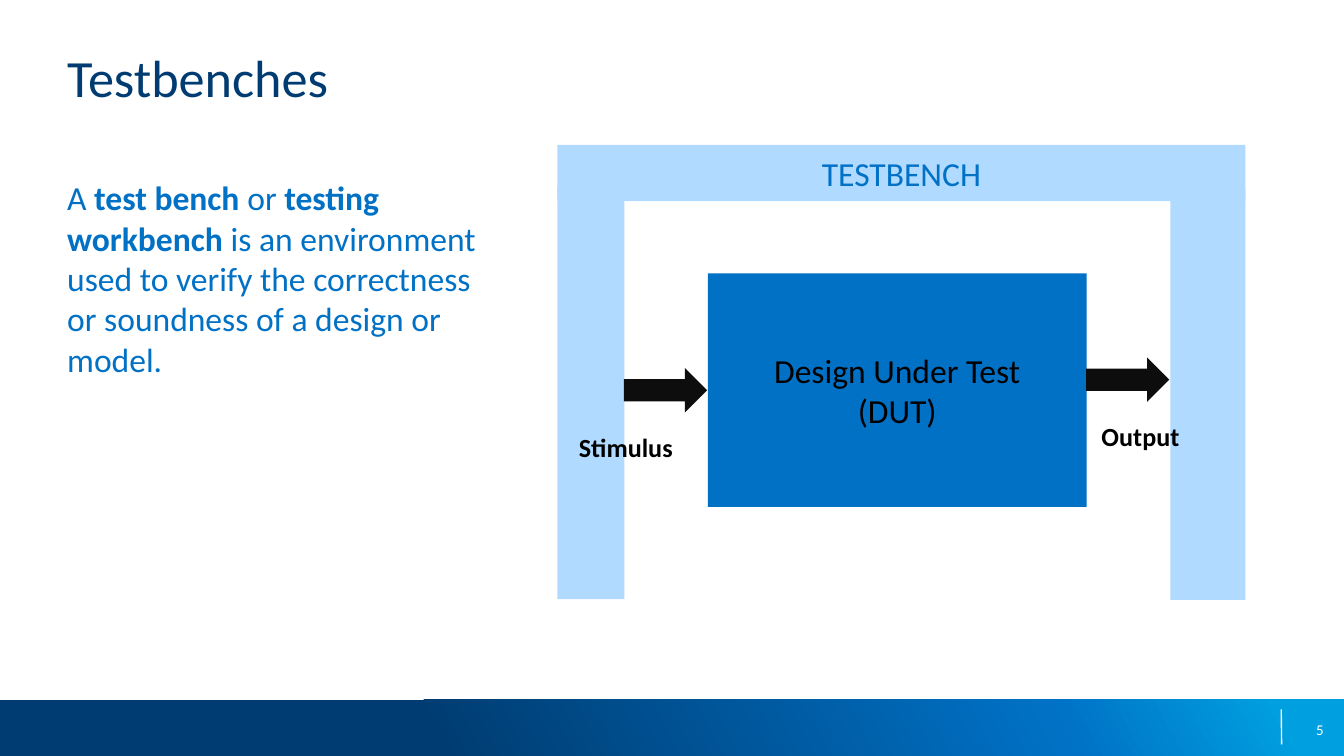
"""Build the slide that explains testbenches."""
from dataclasses import dataclass

from lxml.etree import SubElement
from pptx import Presentation
from pptx.dml.color import RGBColor
from pptx.enum.shapes import MSO_CONNECTOR, MSO_SHAPE
from pptx.enum.text import MSO_ANCHOR, MSO_AUTO_SIZE, PP_ALIGN
from pptx.oxml.ns import qn
from pptx.util import Pt


@dataclass(frozen=True)
class Theme:
    """Colours, type sizes and font of the deck."""
    font: str = "Calibri"
    navy: str = "003C71"
    blue: str = "0071C5"
    cyan: str = "009FDF"
    pale: str = "B0DAFF"
    ink: str = "0D0D0D"
    black: str = "000000"
    white: str = "FFFFFF"
    title: int = 28
    text: int = 18
    label: int = 14
    small: int = 8


def write(frame, paragraphs, *, font, size, color, bold=False, align=PP_ALIGN.LEFT,
          anchor=MSO_ANCHOR.TOP, inset=None, before=0):
    """Fill a text frame with paragraphs, each a list of (text, bold) spans or a string."""
    frame.word_wrap = True
    frame.auto_size = MSO_AUTO_SIZE.NONE
    frame.vertical_anchor = anchor
    if inset is not None:
        frame.margin_left = frame.margin_right = Pt(inset)
        frame.margin_top = frame.margin_bottom = Pt(inset)
    for index, spans in enumerate(paragraphs):
        para = frame.add_paragraph() if index else frame.paragraphs[0]
        para.alignment = align
        para.space_before = Pt(before)
        for text, strong in [(spans, bold)] if isinstance(spans, str) else spans:
            span = para.add_run()
            span.text = text
            span.font.name = font
            span.font.size = Pt(size)
            span.font.bold = strong
            span.font.color.rgb = RGBColor.from_string(color)


class SlideBuilder:
    """Hold the theme and the current slide, and add elements to it."""

    def __init__(self, page, theme):
        self.page = page
        self.theme = theme

    def placeholder(self, index, place, paragraphs, **style):
        """Move a template placeholder and fill it without bullets."""
        box = self.page.placeholders[index]
        box.left, box.top, box.width, box.height = map(Pt, place)
        write(box.text_frame, paragraphs, font=self.theme.font, inset=0, **style)
        for para in box.text_frame.paragraphs:
            properties = para._p.get_or_add_pPr()
            properties.set("marL", "0")
            properties.set("indent", "0")
            SubElement(properties, qn("a:buNone"))

    def text(self, place, paragraphs, **style):
        """Add a text box."""
        box = self.page.shapes.add_textbox(*map(Pt, place))
        write(box.text_frame, paragraphs, font=self.theme.font, **style)

    def shape(self, kind, place, fill, paragraphs=(), **style):
        """Add a flat preset shape with optional centred text."""
        box = self.page.shapes.add_shape(kind, *map(Pt, place))
        box.shadow.inherit = False
        box.fill.solid()
        box.fill.fore_color.rgb = RGBColor.from_string(fill)
        box.line.fill.background()
        if paragraphs:
            write(box.text_frame, paragraphs, font=self.theme.font,
                  align=PP_ALIGN.CENTER, anchor=MSO_ANCHOR.MIDDLE, **style)
        return box

    def gradient_bar(self, place, stops, angle):
        """Add a rectangle with a linear gradient of (percent, colour) stops."""
        box = self.shape(MSO_SHAPE.RECTANGLE, place, stops[0][1])
        box.fill.gradient()
        box.fill.gradient_angle = angle
        stop_list = box._element.spPr.find(qn("a:gradFill")).find(qn("a:gsLst"))
        for stop in list(stop_list):
            stop_list.remove(stop)
        for percent, color in stops:
            stop = SubElement(stop_list, qn("a:gs"), pos=str(percent * 1000))
            SubElement(stop, qn("a:srgbClr"), val=color)

    def line(self, start, end, color, width):
        """Add a straight line without a shadow."""
        rule = self.page.shapes.add_connector(MSO_CONNECTOR.STRAIGHT, *map(Pt, start + end))
        rule.line.color.rgb = RGBColor.from_string(color)
        rule.line.width = Pt(width)
        SubElement(rule._element.spPr, qn("a:effectLst"))


def main():
    """Build and save the deck."""
    theme = Theme()
    deck = Presentation()
    deck.slide_width, deck.slide_height = Pt(720), Pt(405)
    page = deck.slides.add_slide(deck.slide_layouts[1])
    slide = SlideBuilder(page, theme)

    slide.gradient_bar((0, 375, 720, 30),
                       [(32, theme.navy), (78, theme.blue), (95, theme.cyan)], angle=29)
    slide.line((686.4, 380), (686.6, 398.8), theme.white, 0.75)
    slide.text((541.4, 380.2, 167.8, 21.6), ["5"], size=theme.small, color=theme.white,
               align=PP_ALIGN.RIGHT, anchor=MSO_ANCHOR.MIDDLE, inset=0)

    slide.placeholder(0, (36, 24.5, 648, 68.4), ["Testbenches"],
                      size=theme.title, color=theme.navy)
    definition = [("A ", False), ("test bench", True), (" or ", False),
                  ("testing workbench", True),
                  (" is an environment used to verify the correctness or soundness"
                   " of a design or model.", False)]
    slide.placeholder(1, (36, 95, 233.3, 159), [definition],
                      size=theme.text, color=theme.blue, before=12)

    slide.shape(MSO_SHAPE.RECTANGLE, (379.2, 146.4, 203, 125.2), theme.blue,
                ["Design Under Test", "(DUT)"], size=theme.text, color=theme.black)
    for leg in [(298.6, 100, 36, 221), (627, 101.4, 40.2, 220)]:
        slide.shape(MSO_SHAPE.RECTANGLE, leg, theme.pale)
    slide.shape(MSO_SHAPE.RECTANGLE, (298.6, 77.6, 368.6, 30.2), theme.pale,
                ["TESTBENCH"], size=theme.text, color=theme.blue)

    for name, arrow_left, arrow_top, label_left in [("Stimulus", 334.2, 197.2, 303),
                                                    ("Output", 581.8, 191.5, 583)]:
        slide.shape(MSO_SHAPE.RIGHT_ARROW, (arrow_left, arrow_top, 44.6, 23.8), theme.ink)
        slide.text((label_left, arrow_top + 30.3, 84, 24.2), [name],
                   size=theme.label, color=theme.black, bold=True)

    deck.save("out.pptx")


if __name__ == "__main__":
    main()
